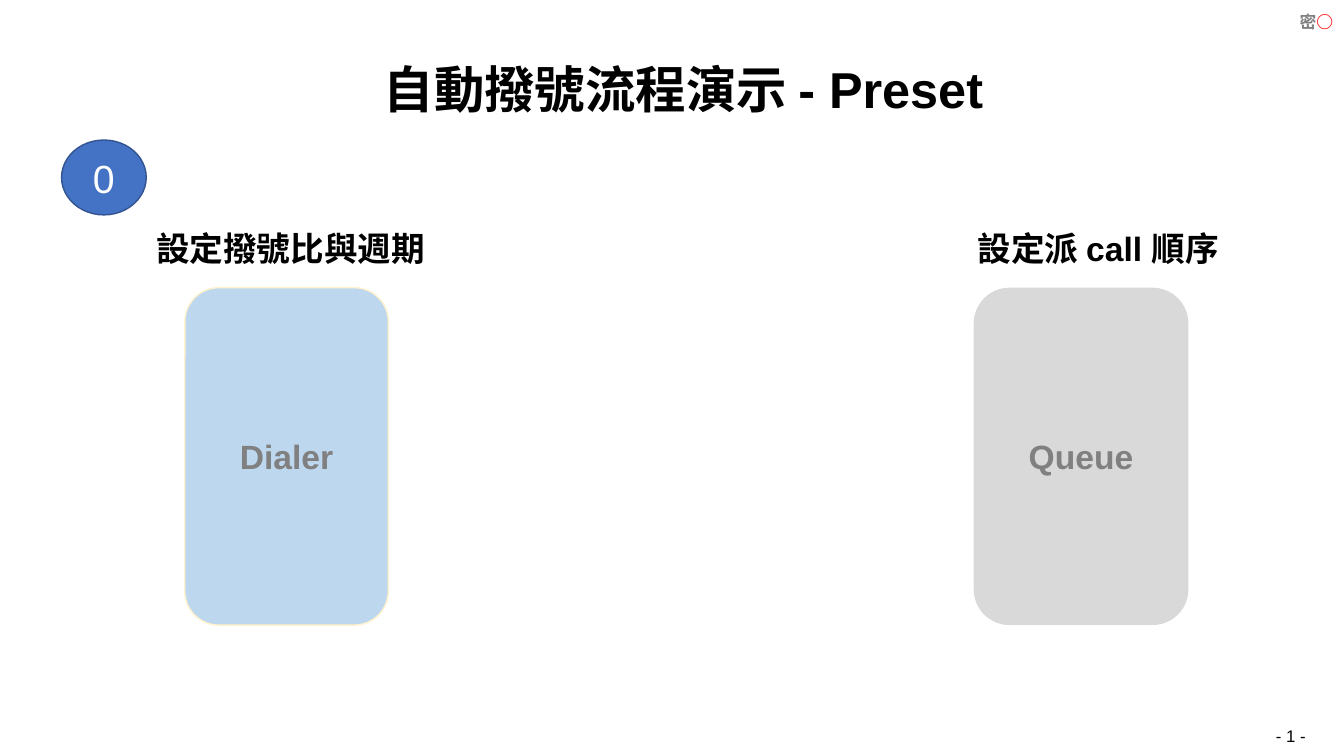
from pptx import Presentation
from pptx.dml.color import RGBColor as RGB
from pptx.enum.shapes import MSO_SHAPE as Shape
from pptx.enum.text import MSO_ANCHOR as Anchor, PP_ALIGN as Align
from pptx.util import Pt

BLACK = RGB(0x00, 0x00, 0x00)
WHITE = RGB(0xFF, 0xFF, 0xFF)
GRAY = RGB(0x80, 0x80, 0x80)
SILVER = RGB(0xD9, 0xD9, 0xD9)
SKY = RGB(0xBD, 0xD7, 0xEE)
CREAM = RGB(0xFF, 0xF2, 0xCC)
BLUE = RGB(0x44, 0x72, 0xC4)
NAVY = RGB(0x32, 0x54, 0x91)
RED = RGB(0xFF, 0x00, 0x00)


class Board:
    """Holds the text style and the current slide, and adds elements to it."""

    face = "Arial"

    def __init__(self, slide):
        self.slide = slide

    def style(self, frame, text, size, color, bold, align, anchor):
        frame.word_wrap = True
        frame.vertical_anchor = anchor
        para = frame.paragraphs[0]
        para.text = text
        para.alignment = align
        font = para.font
        font.name, font.size, font.bold = self.face, Pt(size), bold
        font.color.rgb = color
        return para

    def title(self, text, box, size):
        shape = self.slide.shapes.title
        shape.left, shape.top, shape.width, shape.height = map(Pt, box)
        para = self.style(shape.text_frame, text, size, BLACK, True,
                          Align.CENTER, Anchor.TOP)
        para.line_spacing = 0.9

    def label(self, text, box, size=24, color=BLACK, bold=True,
              align=Align.CENTER):
        frame = self.slide.shapes.add_textbox(*map(Pt, box)).text_frame
        self.style(frame, text, size, color, bold, align, Anchor.TOP)
        return frame

    def mark(self, text, sign, box):
        frame = self.label(text, box, 12, GRAY)
        frame.word_wrap = False
        run = frame.paragraphs[0].add_run()
        run.text = sign
        run.font.color.rgb = RED

    def block(self, kind, text, box, fill, line=None, size=24, color=GRAY,
              bold=True):
        shape = self.slide.shapes.add_shape(kind, *map(Pt, box))
        shape.shadow.inherit = False
        shape.fill.solid()
        shape.fill.fore_color.rgb = fill
        if line is None:
            shape.line.fill.background()
        else:
            shape.line.color.rgb = line
            shape.line.width = Pt(1)
        self.style(shape.text_frame, text, size, color, bold,
                   Align.CENTER, Anchor.MIDDLE)


def main():
    deck = Presentation()
    deck.slide_width, deck.slide_height = Pt(960), Pt(540)
    board = Board(deck.slides.add_slide(deck.slide_layouts[5]))
    top, high = 205.5, 241

    board.mark("密", "○", (920.5, 5, 39.5, 21.6))
    board.label("- 1 -", (904.3, 515, 51, 21.6), 12, bold=False,
                align=Align.LEFT)
    board.block(Shape.ROUNDED_RECTANGLE, "Queue",
                (695.5, top, 153.4, high), SILVER)
    board.title("自動撥號流程演示 - Preset", (74.2, 42.5, 828, 46), 36)
    board.block(Shape.ROUNDED_RECTANGLE, "Dialer",
                (132, top, 145.4, high), SKY, CREAM)
    board.label("設定撥號比與週期", (104.4, 159.5, 225.4, 36),
                align=Align.LEFT)
    board.label("設定派 call 順序", (669.6, 159.5, 229.7, 36))
    board.block(Shape.OVAL, "0", (44, 100, 60.5, 53.5), BLUE, NAVY,
                28, WHITE, False)

    deck.save("out.pptx")


if __name__ == "__main__":
    main()
